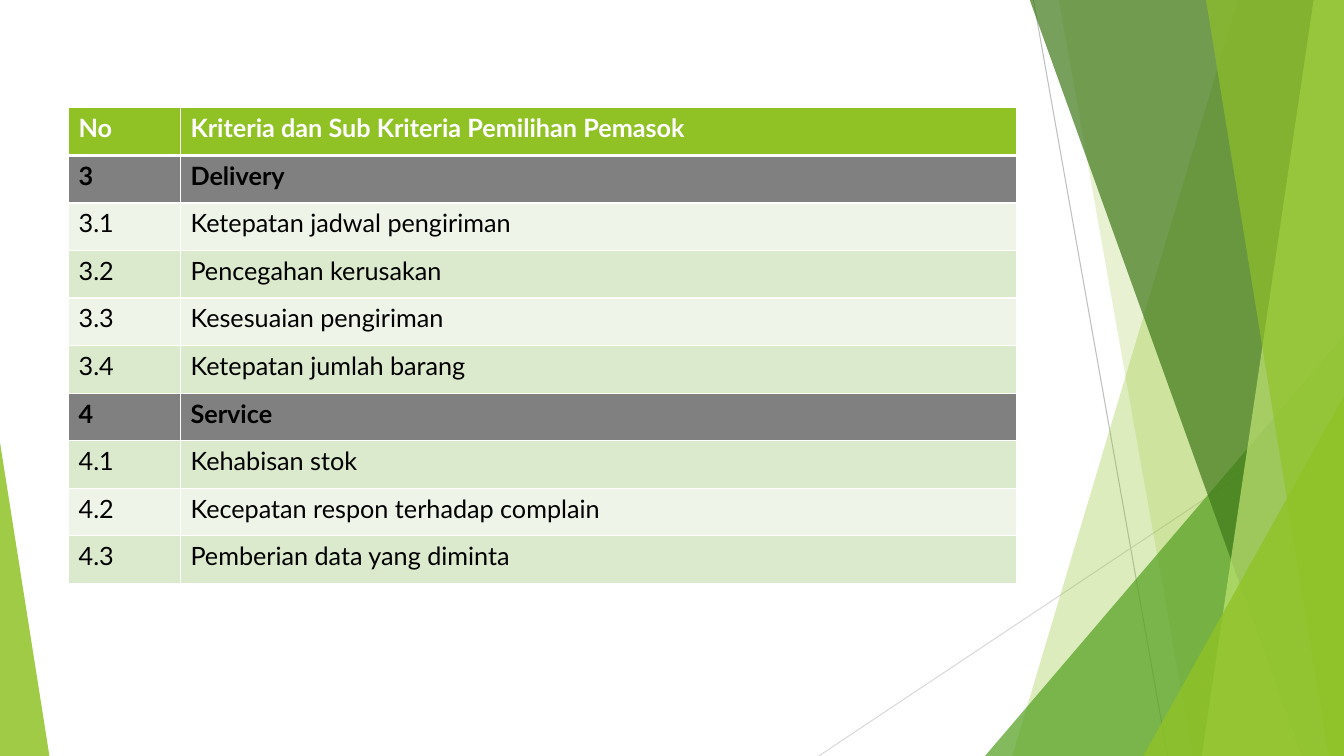
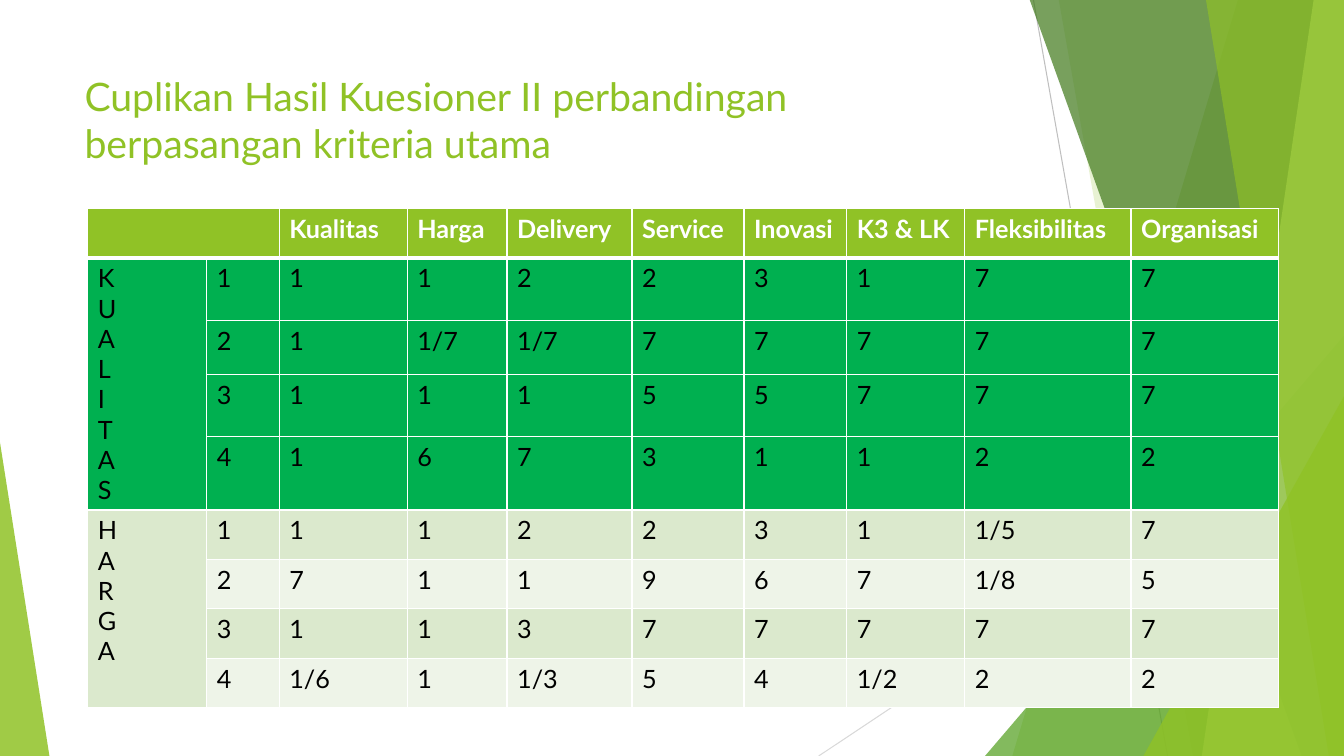
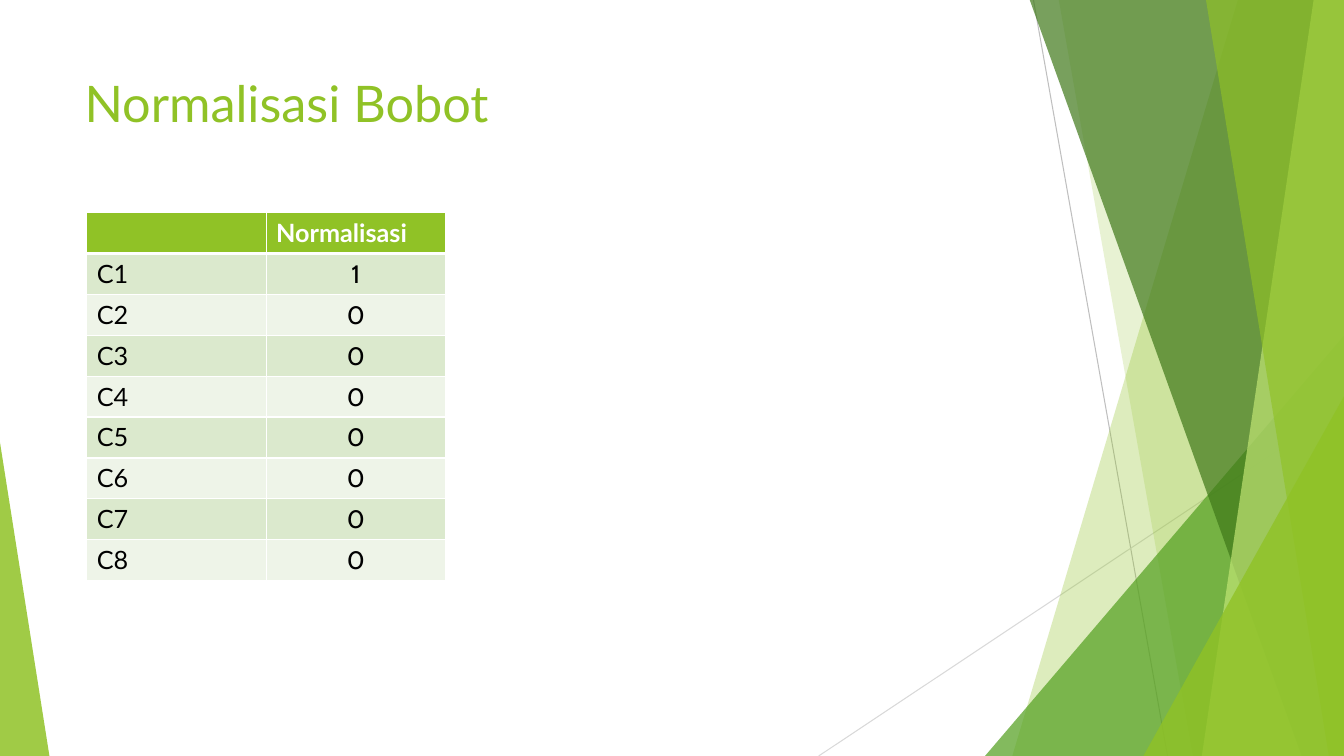
import pptx
import pptx.dml.color
import pptx.enum.shapes
import pptx.enum.text
import pptx.oxml
import pptx.oxml.ns
import pptx.util

Inches = pptx.util.Inches
Pt = pptx.util.Pt
RGBColor = pptx.dml.color.RGBColor
qn = pptx.oxml.ns.qn
NAMESPACE = pptx.oxml.ns.nsdecls("a")

LIME = RGBColor(0x90, 0xC2, 0x26)
GREEN = RGBColor(0x54, 0xA0, 0x21)
FOREST = RGBColor(0x3F, 0x78, 0x19)
PALE_LIME = RGBColor(0xC0, 0xE4, 0x74)
EMERALD = RGBColor(0x00, 0xB0, 0x50)
BAND_DARK = RGBColor(0xDB, 0xE9, 0xCD)
BAND_LIGHT = RGBColor(0xEE, 0xF4, 0xE8)
GRAY = RGBColor(0x80, 0x80, 0x80)
LINE_DARK = RGBColor(0xBF, 0xBF, 0xBF)
LINE_LIGHT = RGBColor(0xD9, 0xD9, 0xD9)
WHITE = RGBColor(0xFF, 0xFF, 0xFF)
BLACK = RGBColor(0, 0, 0)
FONT = "Lato"
DIGIT_FONT = "Cabin"
WIDTH, HEIGHT = 13.33, 7.5


def paint_facet(shape, color, opacity):
    shape.shadow.inherit = False
    shape.line.fill.background()
    shape.fill.solid()
    shape.fill.fore_color.rgb = color
    tint = shape.element.spPr.find(qn("a:solidFill"))[0]
    tint.append(pptx.oxml.parse_xml(f'<a:alpha {NAMESPACE} val="{opacity * 1000}"/>'))


def add_grid(page, left, top, widths, heights, rows, special_rows, special_color):
    frame = page.shapes.add_table(
        len(rows), len(widths), Inches(left), Inches(top),
        Inches(sum(widths)), Inches(sum(heights)))
    table = frame.table
    for column, width in zip(table.columns, widths):
        column.width = Inches(width)
    for index, (row, height, values) in enumerate(zip(table.rows, heights, rows)):
        row.height = Inches(height)
        if index == 0:
            color = LIME
        elif index in special_rows:
            color = special_color
        else:
            color = BAND_DARK if index % 2 else BAND_LIGHT
        for cell, value in zip(row.cells, values):
            cell.fill.solid()
            cell.fill.fore_color.rgb = color
            weights = {"L": 1, "R": 1, "T": 3 if index == 1 else 1, "B": 1 if index else 3}
            properties = cell._tc.get_or_add_tcPr()
            for position, (side, weight) in enumerate(weights.items()):
                properties.insert(position, pptx.oxml.parse_xml(
                    f'<a:ln{side} {NAMESPACE} w="{Pt(weight)}"><a:solidFill>'
                    f'<a:srgbClr val="{WHITE}"/></a:solidFill></a:ln{side}>'))
            for number, line in enumerate(value.split("\n")):
                text = cell.text_frame
                para = text.add_paragraph() if number else text.paragraphs[0]
                para.font.size = Pt(18)
                if line:
                    span = para.add_run()
                    span.text = line
                    span.font.name = FONT
                    span.font.size = Pt(18)
                    span.font.bold = index == 0 or color == GRAY
                    span.font.color.rgb = BLACK if index else WHITE
    return table


deck = pptx.Presentation()
deck.slide_width = Inches(WIDTH)
deck.slide_height = Inches(HEIGHT)
layout = deck.slide_layouts[6]
for placeholder in list(layout.placeholders):
    layout.shapes.element.remove(placeholder.element)

criteria_page, survey_page, weight_page = [deck.slides.add_slide(layout) for _ in range(3)]

for x1, y1, x2, y2, color in [
    (10.25, 0, 11.58, HEIGHT, LINE_DARK),
    (WIDTH, 4.03, 8.12, HEIGHT, LINE_LIGHT),
]:
    ray = criteria_page.shapes.add_connector(
        pptx.enum.shapes.MSO_CONNECTOR.STRAIGHT,
        Inches(x1), Inches(y1), Inches(x2), Inches(y2))
    ray.line.color.rgb = color
    ray.line.width = Pt(0.75)
    ray.element.spPr.append(pptx.oxml.parse_xml(f"<a:effectLst {NAMESPACE}/>"))

for kind, first, second, color, opacity in [
    ("band", 12.28, 10.04, LIME, 30),
    ("band", 10.5, 11.83, LIME, 20),
    ("corner", 9.77, 3.33, GREEN, 72),
    ("band", 10.21, 12.91, FOREST, 70),
    ("band", 13.03, 11.92, PALE_LIME, 70),
    ("band", 11.96, 13.18, LIME, 65),
    ("corner", 11.34, 3.93, LIME, 80),
]:
    if kind == "band":
        builder = criteria_page.shapes.build_freeform(Inches(first), Inches(-0.01))
        builder.add_line_segments(
            [(Inches(WIDTH), Inches(-0.01)), (Inches(WIDTH), Inches(HEIGHT)),
             (Inches(second), Inches(HEIGHT))], close=True)
        facet = builder.convert_to_shape()
    else:
        facet = criteria_page.shapes.add_shape(
            pptx.enum.shapes.MSO_SHAPE.ISOSCELES_TRIANGLE, Inches(first), Inches(second),
            Inches(WIDTH - first), Inches(HEIGHT - second))
        facet.adjustments[0] = 1
    paint_facet(facet, color, opacity)

left_facet = criteria_page.shapes.add_shape(
    pptx.enum.shapes.MSO_SHAPE.ISOSCELES_TRIANGLE,
    0, Inches(4.39), Inches(0.49), Inches(3.11))
left_facet.adjustments[0] = 0
paint_facet(left_facet, LIME, 85)

for shape in list(criteria_page.shapes):
    layout.shapes.element.append(shape.element)

for page, title, size in [
    (survey_page, "Cuplikan Hasil Kuesioner II perbandingan berpasangan kriteria utama", 28),
    (weight_page, "Normalisasi Bobot", 36),
]:
    box = page.shapes.add_textbox(Inches(0.74), Inches(0.67), Inches(9.35), Inches(1.44))
    box.text_frame.word_wrap = True
    span = box.text_frame.paragraphs[0].add_run()
    span.text = title
    span.font.name = FONT
    span.font.size = Pt(size)
    span.font.color.rgb = LIME

criteria = [
    ("No", "Kriteria dan Sub Kriteria Pemilihan Pemasok"),
    ("3", "Delivery"),
    ("3.1", "Ketepatan jadwal pengiriman"),
    ("3.2", "Pencegahan kerusakan"),
    ("3.3", "Kesesuaian pengiriman"),
    ("3.4", "Ketepatan jumlah barang"),
    ("4", "Service"),
    ("4.1", "Kehabisan stok"),
    ("4.2", "Kecepatan respon terhadap complain"),
    ("4.3", "Pemberian data yang diminta"),
]
add_grid(criteria_page, 0.68, 1.07, [1.11, 8.29], [4.72 / len(criteria)] * len(criteria),
         criteria, [1, 6], GRAY)

survey = [
    ("", "", "Kualitas", "Harga", "Delivery", "Service", "Inovasi", "K3 & LK",
     "Fleksibilitas", "Organisasi"),
    ("\n".join("KUALITAS"), "1", "1", "1", "2", "2", "3", "1", "7", "7"),
    ("", "2", "1", "1/7", "1/7", "7", "7", "7", "7", "7"),
    ("", "3", "1", "1", "1", "5", "5", "7", "7", "7"),
    ("", "4", "1", "6", "7", "3", "1", "1", "2", "2"),
    ("\n".join("HARGA"), "1", "1", "1", "2", "2", "3", "1", "1/5", "7"),
    ("", "2", "7", "1", "1", "9", "6", "7", "1/8", "5"),
    ("", "3", "1", "1", "3", "7", "7", "7", "7", "7"),
    ("", "4", "1/6", "1", "1/3", "5", "4", "1/2", "2", "2"),
]
survey_table = add_grid(
    survey_page, 0.87, 2.07,
    [1.18, 0.72, 1.27, 0.99, 1.24, 1.11, 1.02, 1.17, 1.65, 1.46],
    [0.49, 0.62, 0.54, 0.61, 0.72] + [0.49] * 4, survey, range(1, 5), EMERALD)
survey_table.cell(0, 0).merge(survey_table.cell(0, 1))
for start in (1, 5):
    survey_table.cell(start, 0).merge(survey_table.cell(start + 3, 0))

weights = [("", "Normalisasi")] + [(f"C{n}", "1" if n == 1 else "0") for n in range(1, 9)]
weight_table = add_grid(weight_page, 0.86, 2.11, [1.78, 1.78],
                        [3.65 / len(weights)] * len(weights), weights, [], GRAY)
for index in range(1, len(weights)):
    cell = weight_table.cell(index, 1)
    cell.vertical_anchor = pptx.enum.text.MSO_ANCHOR.MIDDLE
    cell.margin_left = cell.margin_right = cell.margin_top = Inches(0.01)
    cell.margin_bottom = 0
    para = cell.text_frame.paragraphs[0]
    para.alignment = pptx.enum.text.PP_ALIGN.CENTER
    para.runs[0].font.name = DIGIT_FONT

deck.save("out.pptx")
